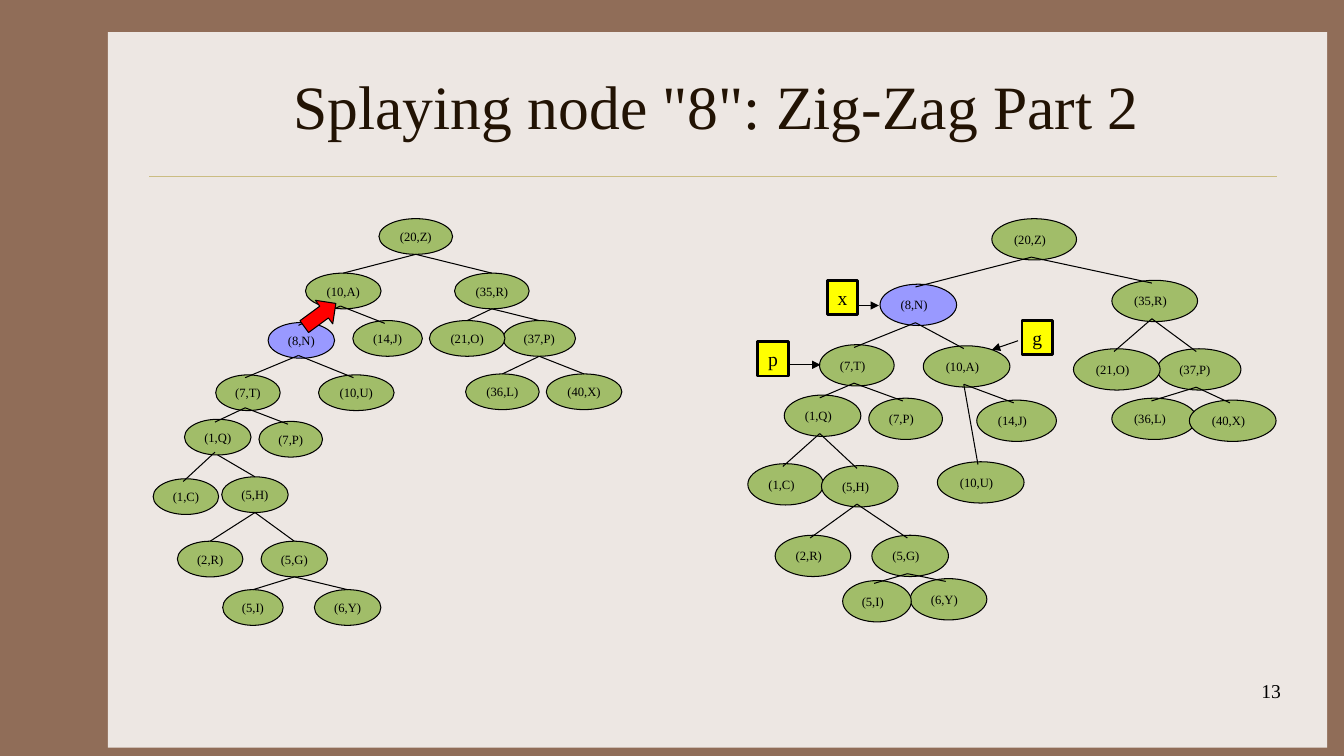
import pptx
import pptx.util
import pptx.dml.color
import pptx.enum.shapes
import pptx.enum.text
from lxml import etree

Pt = pptx.util.Pt
RGBColor = pptx.dml.color.RGBColor
MSO_SHAPE = pptx.enum.shapes.MSO_SHAPE
PP_ALIGN = pptx.enum.text.PP_ALIGN
MIDDLE = pptx.enum.text.MSO_ANCHOR.MIDDLE

FONT = "Times New Roman"
BROWN = RGBColor(0x90, 0x6D, 0x58)
PAPER = RGBColor(0xED, 0xE7, 0xE3)
GOLD = RGBColor(0xCB, 0xBD, 0x83)
TITLE_INK = RGBColor(0x22, 0x13, 0x04)
BLACK = RGBColor(0, 0, 0)
GREEN = RGBColor(0xA1, 0xBD, 0x69)
BLUE = RGBColor(0x99, 0x99, 0xFF)
YELLOW = RGBColor(0xFF, 0xFF, 0)
RED = RGBColor(0xFF, 0, 0)

TITLE = 'Splaying node "8": Zig-Zag Part 2'
PAGE_NUMBER = "13"
SPLAYED = "(8,N)"

# label, parent, left, top, width
BEFORE = [
    ("(10,A)", "(20,Z)", 218.2, 195.1, 54),
    ("(20,Z)", None, 270.7, 156.2, 52.6),
    ("(37,P)", "(35,R)", 359.3, 229, 51.8),
    ("(21,O)", "(35,R)", 306.7, 229, 54),
    ("(35,R)", "(20,Z)", 324.7, 195.1, 53.3),
    ("(36,L)", "(37,P)", 332.6, 267.1, 52.6),
    ("(40,X)", "(37,P)", 390.2, 267.1, 54),
    ("(7,T)", "(8,N)", 154.1, 267.8, 46.1),
    ("(1,C)", "(1,Q)", 109.4, 342, 46.8),
    ("(1,Q)", "(7,T)", 131.8, 299.5, 47.5),
    ("(5,G)", "(5,H)", 186.5, 386.6, 47.5),
    ("(2,R)", "(5,H)", 126.7, 386.6, 46.8),
    ("(5,H)", "(1,Q)", 158.4, 340.6, 47.5),
    ("(6,Y)", "(5,G)", 224.6, 421.2, 47.5),
    ("(5,I)", "(5,G)", 159.1, 421.2, 43.2),
    ("(14,J)", "(10,A)", 252, 229, 49.7),
    ("(8,N)", "(10,A)", 191.5, 230.4, 47.5),
    ("(7,P)", "(7,T)", 185, 301, 45.4),
    ("(10,U)", "(8,N)", 227.5, 267.8, 54),
]
AFTER = [
    ("(10,A)", "(8,N)", 659.5, 247, 61.9),
    ("(20,Z)", None, 708.5, 156.2, 60.5),
    ("(37,P)", "(35,R)", 826.6, 249.1, 59.8),
    ("(21,O)", "(35,R)", 766.8, 249.1, 61.9),
    ("(35,R)", "(20,Z)", 794.2, 200.2, 61.2),
    ("(36,L)", "(37,P)", 794.2, 284.4, 60.5),
    ("(40,X)", "(37,P)", 849.6, 285.8, 61.9),
    ("(7,T)", "(8,N)", 585.4, 246.2, 53.3),
    ("(1,C)", "(1,Q)", 534.2, 331.2, 54),
    ("(1,Q)", "(7,T)", 560.2, 282.2, 54.7),
    ("(5,G)", "(5,H)", 622.8, 382.3, 54.7),
    ("(2,R)", "(5,H)", 553.7, 382.3, 54),
    ("(5,H)", "(1,Q)", 586.8, 332.6, 54.7),
    ("(6,Y)", "(5,G)", 650.2, 413.3, 54.7),
    ("(5,I)", "(5,G)", 601.9, 414.7, 49),
    ("(14,J)", "(10,A)", 697.7, 285.8, 56.9),
    ("(8,N)", "(20,Z)", 628.6, 203, 54.7),
    ("(7,P)", "(7,T)", 620.6, 284.4, 52.6),
    ("(10,U)", "(10,A)", 669.6, 329.8, 61.9),
]
BEFORE_INSET = {"(8,N)", "(14,J)", "(7,T)", "(10,U)", "(1,Q)", "(7,P)", "(1,C)"}
AFTER_INSET = {label for label, *_ in AFTER}
TREES = [(BEFORE, 25.5, 0, BEFORE_INSET), (AFTER, 29.5, 6, AFTER_INSET)]
EDGE_INSET = 2

POINTERS = [
    ("x", (591.1, 200.2), (609.1, 218.2), (627.8, 218.2)),
    ("p", (541.4, 244.1), (561.6, 260.6), (586.1, 260.6)),
    ("g", (730.1, 229), (727.2, 243.4), (708.5, 249.8)),
]


def add_line(start, end, color=BLACK, width=0.75, arrow=False):
    line = slide.shapes.add_connector(
        pptx.enum.shapes.MSO_CONNECTOR.STRAIGHT, *map(Pt, start + end))
    line.line.color.rgb = color
    line.line.width = Pt(width)
    if arrow:
        head = etree.SubElement(line.line._get_or_add_ln(), pptx.oxml.ns.qn("a:tailEnd"))
        head.set("type", "triangle")
    etree.SubElement(line._element.spPr, pptx.oxml.ns.qn("a:effectLst"))
    return line


def add_outlined(preset, box, fill, width=0.75):
    shape = slide.shapes.add_shape(preset, *map(Pt, box))
    shape.shadow.inherit = False
    shape.fill.solid()
    shape.fill.fore_color.rgb = fill
    shape.line.color.rgb = BLACK
    shape.line.width = Pt(width)
    return shape


def write(shape, text, size, align=PP_ALIGN.CENTER, color=BLACK, right=0):
    frame = shape.text_frame
    frame.word_wrap = True
    frame.vertical_anchor = MIDDLE
    frame.margin_left = frame.margin_top = frame.margin_bottom = 0
    frame.margin_right = Pt(right)
    paragraph = frame.paragraphs[0]
    paragraph.text = text
    paragraph.alignment = align
    paragraph.font.name = FONT
    paragraph.font.size = Pt(size)
    paragraph.font.color.rgb = color


def draw_tree(nodes, height, right_margin, inset_children):
    ellipses = {}
    places = {}
    for label, _, left, top, width in nodes:
        fill = BLUE if label == SPLAYED else GREEN
        node = add_outlined(MSO_SHAPE.OVAL, (left, top, width, height), fill)
        write(node, label, 9, right=right_margin)
        ellipses[label] = node
        places[label] = (left + width / 2, top)
    for label, parent, *_ in nodes:
        if parent is None:
            continue
        inset = EDGE_INSET if label in inset_children else 0
        parent_x, parent_top = places[parent]
        child_x, child_top = places[label]
        edge = add_line((parent_x - inset, parent_top + height - inset),
                        (child_x - inset, child_top + inset))
        if not inset:
            edge.end_connect(ellipses[label], 0)


deck = pptx.Presentation()
deck.slide_width, deck.slide_height = Pt(960), Pt(540)
slide = deck.slides.add_slide(deck.slide_layouts[5])
slide.background.fill.solid()
slide.background.fill.fore_color.rgb = BROWN

title = slide.shapes.title
title.left, title.top, title.width, title.height = map(Pt, (112, 30, 800, 90))
write(title, TITLE, 44, color=TITLE_INK)

paper = add_outlined(MSO_SHAPE.RECTANGLE, (77, 23, 871, 511), PAPER)
paper.line.fill.background()
slide.shapes._spTree.remove(paper._element)
slide.shapes._spTree.insert(2, paper._element)
add_line((106.6, 126), (912.2, 126), GOLD, 0.25)

page_number = slide.shapes.add_textbox(Pt(722), Pt(481), Pt(200), Pt(24))
write(page_number, PAGE_NUMBER, 14, PP_ALIGN.RIGHT, right=7)

for tree in TREES:
    draw_tree(*tree)

rotation_arrow = add_outlined(MSO_SHAPE.DOWN_ARROW, (218.2, 211, 20.9, 28), RED)
rotation_arrow.rotation = 233.7

for role, corner, start, end in POINTERS:
    add_line(start, end, arrow=True)
    tag = add_outlined(MSO_SHAPE.RECTANGLE, corner + (21.6, 24.5), YELLOW, 2)
    write(tag, role, 14)

deck.save("out.pptx")
